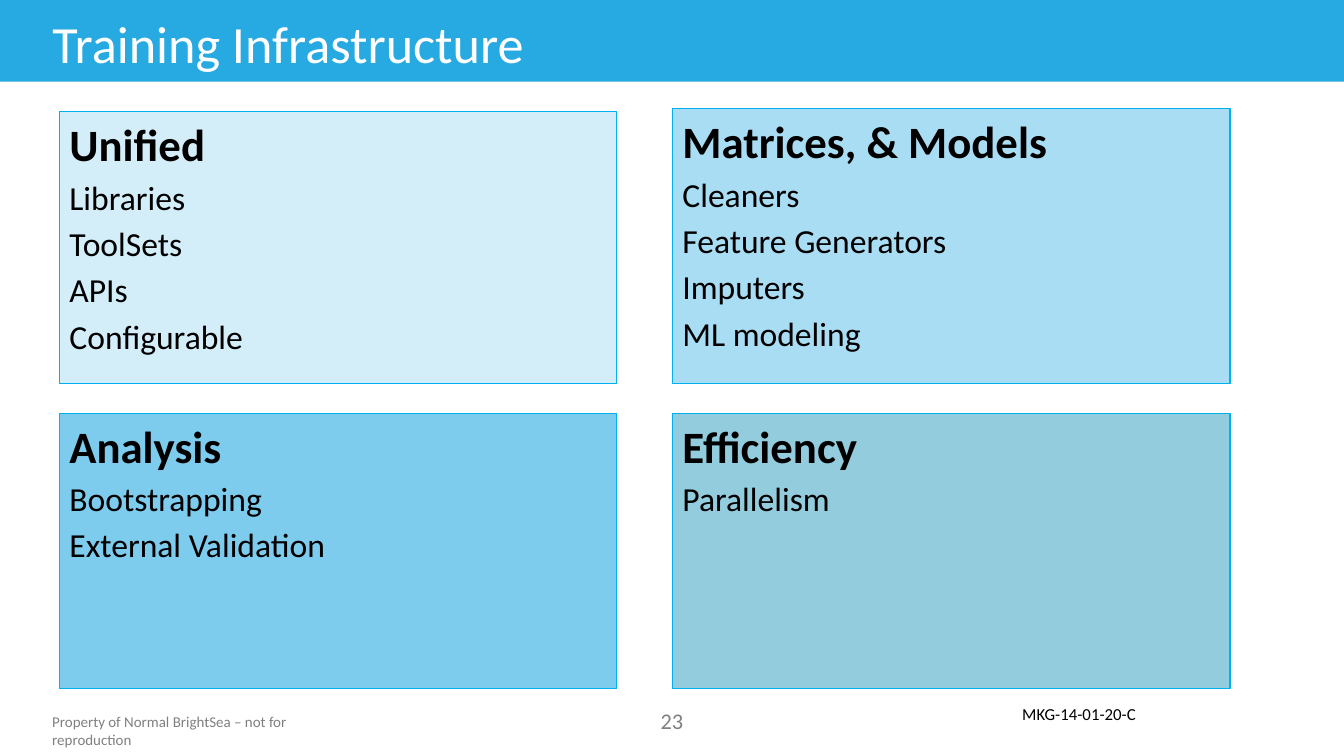
"""Build the Training Infrastructure slide with four topic panels."""
from dataclasses import dataclass

from pptx import Presentation
from pptx.dml.color import RGBColor
from pptx.enum.shapes import MSO_SHAPE
from pptx.enum.text import MSO_ANCHOR, MSO_AUTO_SIZE, PP_ALIGN
from pptx.util import Inches, Pt


@dataclass(frozen=True)
class Theme:
    font: str = "Calibri"
    banner: str = "27A9E1"
    border: str = "00B0F0"
    white: str = "FFFFFF"
    black: str = "000000"
    gray: str = "808080"
    title_size: float = 37.3
    heading_size: float = 32
    item_size: float = 24
    number_size: float = 16
    code_size: float = 12
    notice_size: float = 10.7


theme = Theme()


def format_paragraph(paragraph, size, color, bold=False, align=PP_ALIGN.LEFT):
    paragraph.alignment = align
    for run in paragraph.runs:
        run.font.name = theme.font
        run.font.size = Pt(size)
        run.font.bold = bold
        run.font.color.rgb = RGBColor.from_string(color)


def add_rectangle(left, top, width, height, fill):
    shape = slide.shapes.add_shape(
        MSO_SHAPE.RECTANGLE, Inches(left), Inches(top), Inches(width), Inches(height)
    )
    shape.shadow.inherit = False
    shape.fill.solid()
    shape.fill.fore_color.rgb = RGBColor.from_string(fill)
    return shape


presentation = Presentation()
presentation.slide_width = Inches(13.33)
presentation.slide_height = Inches(7.5)
slide = presentation.slides.add_slide(presentation.slide_layouts[5])

banner = add_rectangle(0, -0.01, 13.33, 0.82, theme.banner)
banner.line.fill.background()

title = slide.shapes.title
title.element.addprevious(banner.element)
title.left, title.top = Inches(0.42), Inches(0.06)
title.width, title.height = Inches(11.1), Inches(0.73)
title.text_frame.text = "Training Infrastructure"
title.text_frame.auto_size = MSO_AUTO_SIZE.NONE
title.text_frame.vertical_anchor = MSO_ANCHOR.MIDDLE
format_paragraph(title.text_frame.paragraphs[0], theme.title_size, theme.white)

footers = [
    ("Property of Normal BrightSea – not for reproduction", 0.42, 7.02, 3.33, 0.28,
     theme.notice_size, theme.gray, PP_ALIGN.LEFT, False),
    ("23", 6.26, 6.97, 0.81, 0.37,
     theme.number_size, theme.gray, PP_ALIGN.CENTER, True),
    ("MKG-14-01-20-C", 10.04, 6.93, 1.38, 0.3,
     theme.code_size, theme.black, PP_ALIGN.LEFT, False),
]
for text, left, top, width, height, size, color, align, wrap in footers:
    footer = slide.shapes.add_textbox(
        Inches(left), Inches(top), Inches(width), Inches(height)
    )
    footer.text_frame.word_wrap = wrap
    footer.text_frame.text = text
    format_paragraph(footer.text_frame.paragraphs[0], size, color, align=align)

left_column, right_column = 0.59, 6.67
panel_width = 5.53
panels = [
    (right_column, 1.08, 2.73, "A9DDF3",
     ["Matrices, & Models", "Cleaners", "Feature Generators", "Imputers", "ML modeling"]),
    (left_column, 1.11, 2.7, "D4EEF9",
     ["Unified", "Libraries", "ToolSets", "APIs", "Configurable"]),
    (left_column, 4.1, 2.73, "7DCBED",
     ["Analysis", "Bootstrapping", "External Validation"]),
    (right_column, 4.1, 2.73, "93CDDD", ["Efficiency", "Parallelism"]),
]
for left, top, height, fill, lines in panels:
    panel = add_rectangle(left, top, panel_width, height, fill)
    panel.line.color.rgb = RGBColor.from_string(theme.border)
    panel.line.width = Pt(0.75)
    panel.text_frame.word_wrap = True
    panel.text_frame.vertical_anchor = MSO_ANCHOR.TOP
    panel.text_frame.text = "\n".join(lines)
    for index, paragraph in enumerate(panel.text_frame.paragraphs):
        is_heading = index == 0
        size = theme.heading_size if is_heading else theme.item_size
        format_paragraph(paragraph, size, theme.black, bold=is_heading)
        paragraph.space_before = Pt(4.3)

presentation.save("out.pptx")
